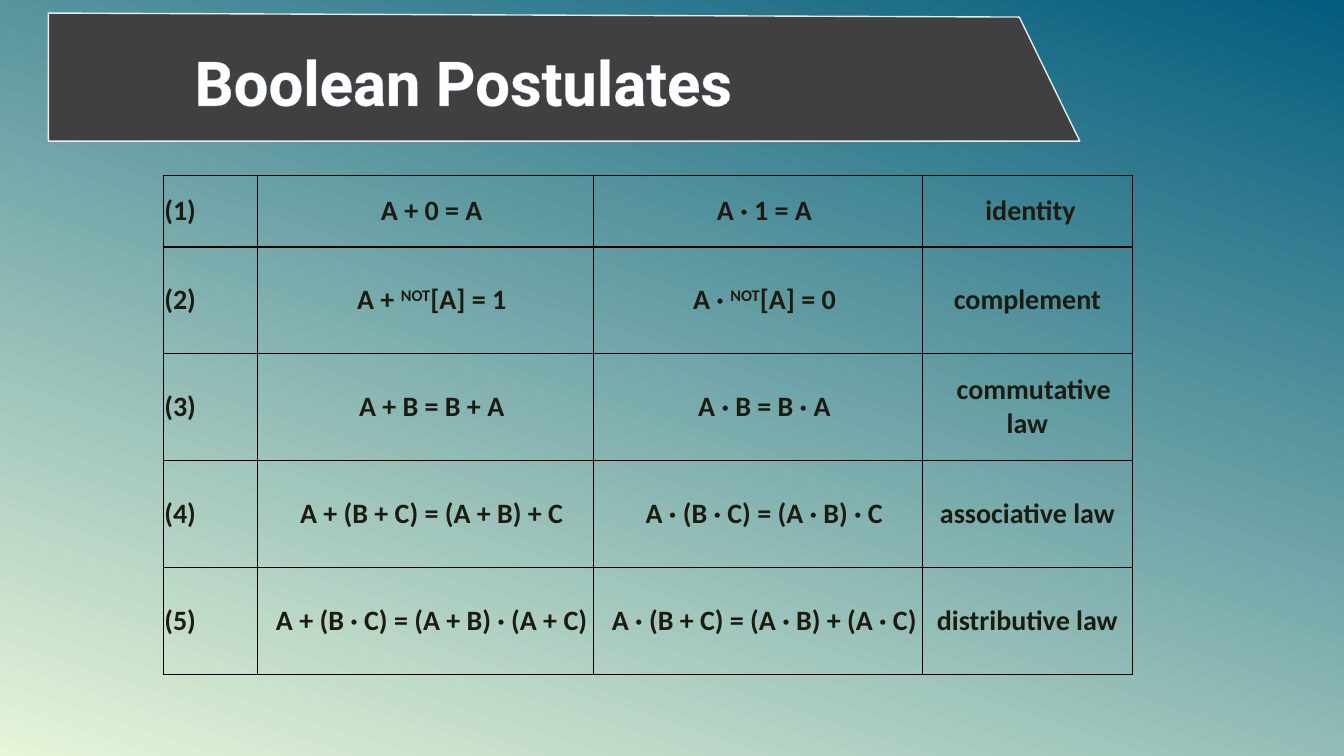
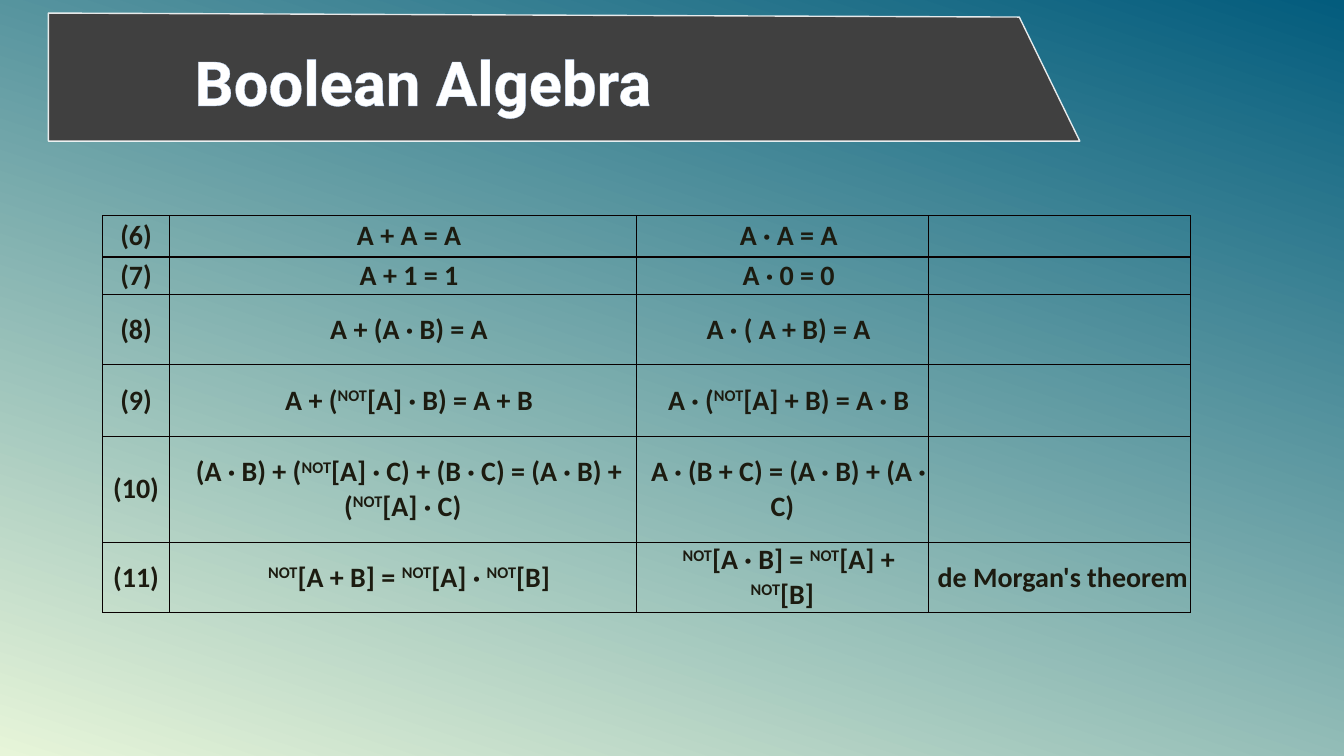
from lxml.etree import SubElement
from pptx import Presentation
from pptx.dml.color import RGBColor
from pptx.enum.text import MSO_ANCHOR, PP_ALIGN
from pptx.oxml.ns import qn
from pptx.util import Inches, Pt

SLIDES = [
    {
        "title": "Boolean Postulates",
        "origin": (1.62, 1.74),
        "columns": [0.93, 3.34, 3.26, 2.08],
        "heights": [0.71] + [1.06] * 4,
        "number_align": PP_ALIGN.LEFT,
        "rows": [
            ("(1)", "A + 0 = A", "A · 1 = A", "identity"),
            ("(2)", "A + NOT[A] = 1", "A · NOT[A] = 0", "complement"),
            ("(3)", "A + B = B + A", "A · B = B · A", "commutative law"),
            ("(4)", "A + (B + C) = (A + B) + C", "A · (B · C) = (A · B) · C", "associative law"),
            ("(5)", "A + (B · C) = (A + B) · (A + C)", "A · (B + C) = (A · B) + (A · C)",
             "distributive law"),
        ],
    },
    {
        "title": "Boolean Algebra",
        "origin": (1.02, 2.14),
        "columns": [0.66, 4.63, 2.9, 2.6],
        "heights": [0.41, 0.37, 0.7, 0.71, 1.05, 0.7],
        "number_align": PP_ALIGN.CENTER,
        "rows": [
            ("(6)", "A + A = A", "A · A = A", ""),
            ("(7)", "A + 1 = 1", "A · 0 = 0", ""),
            ("(8)", "A + (A · B) = A", "A · ( A + B) = A", ""),
            ("(9)", "A + (NOT[A] · B) = A + B", "A · (NOT[A] + B) = A · B", ""),
            ("(10)", "(A · B) + (NOT[A] · C) + (B · C) = (A · B) + (NOT[A] · C)",
             "A · (B + C) = (A · B) + (A · C)", ""),
            ("(11)", "NOT[A + B] = NOT[A] · NOT[B]", "NOT[A · B] = NOT[A] + NOT[B]",
             "de Morgan's theorem"),
        ],
    },
]
FORMULA_INDENT = 9
LAW_INDENTS = {"identity": 4.5, "commutative law": 9, "de Morgan's theorem": 4.5}
BAND = [(0.48, 0.13), (10.11, 0.17), (10.71, 1.4), (0.48, 1.4)]
LIGHT, DARK, CHARCOAL = "E7F5D9", "035C7D", "404040"
WHITE, GLOW, INK, RULE = "FFFFFF", "C0D7F5", "1C1B10", "080000"
OPERATOR = "NOT"


def color(value):
    return RGBColor.from_string(value)


def add_solid(parent, value):
    fill = SubElement(parent, qn("a:solidFill"))
    return SubElement(fill, qn("a:srgbClr"), val=value)


def write(frame, text, size, font, ink, align=PP_ALIGN.LEFT, indent=0, outline=None):
    para = frame.paragraphs[0]
    para.alignment = align
    if indent:
        properties = para._p.get_or_add_pPr()
        properties.set("marL", "0")
        properties.set("indent", str(Pt(indent)))
    pieces = text.split(OPERATOR)
    spans = [(pieces[0], False)]
    for piece in pieces[1:]:
        spans += [(OPERATOR, True), (piece, False)]
    for words, raised in spans:
        if not words:
            continue
        span = para.add_run()
        span.text = words
        span.font.size = Pt(size)
        span.font.name = font
        span.font.bold = True
        span.font.color.rgb = color(ink)
        properties = span._r.get_or_add_rPr()
        if raised:
            properties.set("baseline", "30000")
        if outline:
            line = SubElement(properties, qn("a:ln"), w=str(Pt(0.8)))
            add_solid(line, outline)
            properties.insert(0, line)


def set_background(master):
    fill = master.background.fill
    fill.gradient()
    fill.gradient_angle = 72
    for stop, value in zip(fill.gradient_stops, (LIGHT, DARK)):
        stop.color.rgb = color(value)


def add_title(page, title):
    points = [(Inches(x), Inches(y)) for x, y in BAND]
    builder = page.shapes.build_freeform(*points[0])
    builder.add_line_segments(points[1:], close=True)
    band = builder.convert_to_shape()
    band.shadow.inherit = False
    band.fill.solid()
    band.fill.fore_color.rgb = color(CHARCOAL)
    band.line.width = Pt(1)
    band.line.color.rgb = color(WHITE)
    SubElement(band.line._ln.find(".//" + qn("a:srgbClr")), qn("a:alpha"), val="88000")
    box = page.shapes.add_textbox(Inches(1.83), Inches(0.39), Inches(8.04), Inches(0.84))
    box.text_frame.word_wrap = True
    write(box.text_frame, title, 44, "Roboto", WHITE, outline=GLOW)


def style_cell(cell):
    cell.vertical_anchor = MSO_ANCHOR.MIDDLE
    cell.margin_left = cell.margin_right = Inches(0.01)
    cell.margin_top = cell.margin_bottom = Inches(0.01)
    properties = cell._tc.get_or_add_tcPr()
    for side in ("lnL", "lnR", "lnT", "lnB"):
        add_solid(SubElement(properties, qn("a:" + side), w=str(Pt(1))), RULE)
    cell.fill.background()


def add_laws(page, content):
    columns, heights = content["columns"], content["heights"]
    left, top = content["origin"]
    table = page.shapes.add_table(len(heights), len(columns), Inches(left), Inches(top),
                                  Inches(sum(columns)), Inches(sum(heights))).table
    table.first_row = table.horz_banding = False
    for column, width in zip(table.columns, columns):
        column.width = Inches(width)
    for row, height, texts in zip(table.rows, heights, content["rows"]):
        row.height = Inches(height)
        indents = (0, FORMULA_INDENT, FORMULA_INDENT, LAW_INDENTS.get(texts[3], 0))
        aligns = [content["number_align"]] + [PP_ALIGN.CENTER] * 3
        for cell, text, indent, align in zip(row.cells, texts, indents, aligns):
            style_cell(cell)
            write(cell.text_frame, text, 20, "Calibri", INK, align=align, indent=indent)


def main():
    deck = Presentation()
    deck.slide_width, deck.slide_height = Inches(13.33), Inches(7.5)
    set_background(deck.slide_master)
    for content in SLIDES:
        page = deck.slides.add_slide(deck.slide_layouts[6])
        add_title(page, content["title"])
        add_laws(page, content)
    deck.save("out.pptx")


if __name__ == "__main__":
    main()
